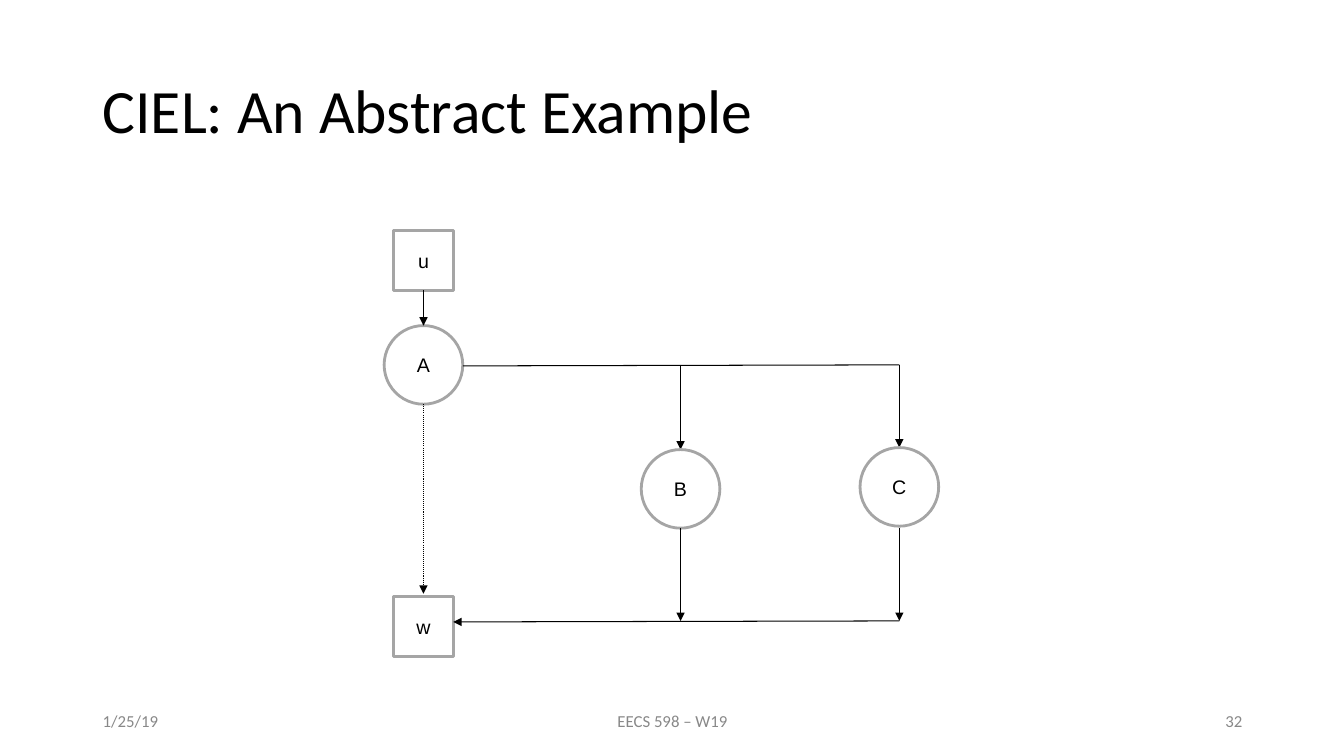
from dataclasses import dataclass

from lxml import etree
from pptx import Presentation
from pptx.dml.color import RGBColor
from pptx.enum.dml import MSO_LINE
from pptx.enum.shapes import MSO_CONNECTOR, MSO_SHAPE
from pptx.enum.text import MSO_ANCHOR, PP_ALIGN
from pptx.oxml.ns import qn
from pptx.util import Pt

STRAIGHT = MSO_CONNECTOR.STRAIGHT
RECT, OVAL = MSO_SHAPE.RECTANGLE, MSO_SHAPE.OVAL
LEFT, CENTER, RIGHT = PP_ALIGN.LEFT, PP_ALIGN.CENTER, PP_ALIGN.RIGHT
MIDDLE = MSO_ANCHOR.MIDDLE
DOTTED = MSO_LINE.ROUND_DOT
PX = 9144  # 100 px to the inch


@dataclass(frozen=True)
class Theme:
    ink: str = "000000"
    muted: str = "888888"
    paper: str = "FFFFFF"
    edge: str = "A5A5A5"
    head: str = "Calibri"
    body: str = "Arial"
    title: int = 44
    label: int = 14
    small: int = 12
    border: float = 2
    arrow: float = 0.75


THEME = Theme()


def emu(*sizes):
    return [round(size * PX) for size in sizes]


def color(code):
    return RGBColor.from_string(code)


def write(shape, text, font=THEME.head, size=THEME.small, ink=THEME.ink,
          align=LEFT, spacing=None):
    frame = shape.text_frame
    frame.word_wrap = True
    frame.vertical_anchor = MIDDLE
    para = frame.paragraphs[0]
    para.alignment = align
    if spacing:
        para.line_spacing = spacing
    run = para.add_run()
    run.text = text
    run.font.name = font
    run.font.size = Pt(size)
    run.font.color.rgb = color(ink)


def add_node(slide, kind, x, y, size, text):
    """Draw a labelled node centred on x, y."""
    node = slide.shapes.add_shape(
        kind, *emu(x - size / 2, y - size / 2, size, size))
    node.shadow.inherit = False
    node.fill.solid()
    node.fill.fore_color.rgb = color(THEME.paper)
    node.line.color.rgb = color(THEME.edge)
    node.line.width = Pt(THEME.border)
    write(node, text, font=THEME.body, size=THEME.label, align=CENTER)


def add_line(slide, start, end, arrow=True, dash=None):
    link = slide.shapes.add_connector(STRAIGHT, *emu(*start, *end))
    link.line.color.rgb = color(THEME.ink)
    link.line.width = Pt(THEME.arrow)
    if dash:
        link.line.dash_style = dash
    props = link._element.spPr
    if arrow:
        etree.SubElement(props.find(qn("a:ln")), qn("a:tailEnd"),
                         type="triangle")
    etree.SubElement(props, qn("a:effectLst"))


def add_title(slide, x, y, width, height):
    box = slide.shapes.add_textbox(*emu(x, y, width, height))
    write(box, "CIEL: An Abstract Example", size=THEME.title, spacing=0.9)


def add_footer(slide, x, y, width, height):
    side, middle = 300, 450
    parts = [
        ("1/25/19", 0, side, LEFT),
        ("EECS 598 – W19", (width - middle) / 2, middle, CENTER),
        ("32", width - side, side, RIGHT),
    ]
    for text, shift, span, align in parts:
        box = slide.shapes.add_textbox(*emu(x + shift, y, span, height))
        write(box, text, ink=THEME.muted, align=align)


def add_graph(slide, x, y, width, height):
    data, task = 59, 78
    main, last = x + task / 2, x + width - task / 2
    mid = x + 294
    top, low = y + data / 2, y + height - data / 2
    fork, join = y + 133, y + 387

    # Data objects and the root task
    add_node(slide, RECT, main, top, data, "u")
    add_node(slide, OVAL, main, fork, task, "A")
    add_node(slide, RECT, main, low, data, "w")
    add_line(slide, (main, top + data / 2), (main, fork - task / 2))
    add_line(slide, (main, fork + task / 2), (main, low - data / 2 - 3),
             dash=DOTTED)

    # Lines that leave A and return to w
    add_line(slide, (main + task / 2, fork + 1), (last, fork), arrow=False)
    add_line(slide, (last, join), (main + data / 2, join + 1))

    # Spawned tasks
    for text, column, row in (("B", mid, y + 256), ("C", last, y + 254)):
        add_line(slide, (column, fork), (column, row - task / 2))
        add_node(slide, OVAL, column, row, task, text)
        add_line(slide, (column, y + 295), (column, join))


def main():
    deck = Presentation()
    deck.slide_width, deck.slide_height = emu(1333, 750)
    slide = deck.slides.add_slide(deck.slide_layouts[6])
    add_title(slide, 92, 40, 1150, 145)
    add_graph(slide, 381, 229, 550, 422)
    add_footer(slide, 92, 695, 1150, 40)
    deck.save("out.pptx")


if __name__ == "__main__":
    main()
